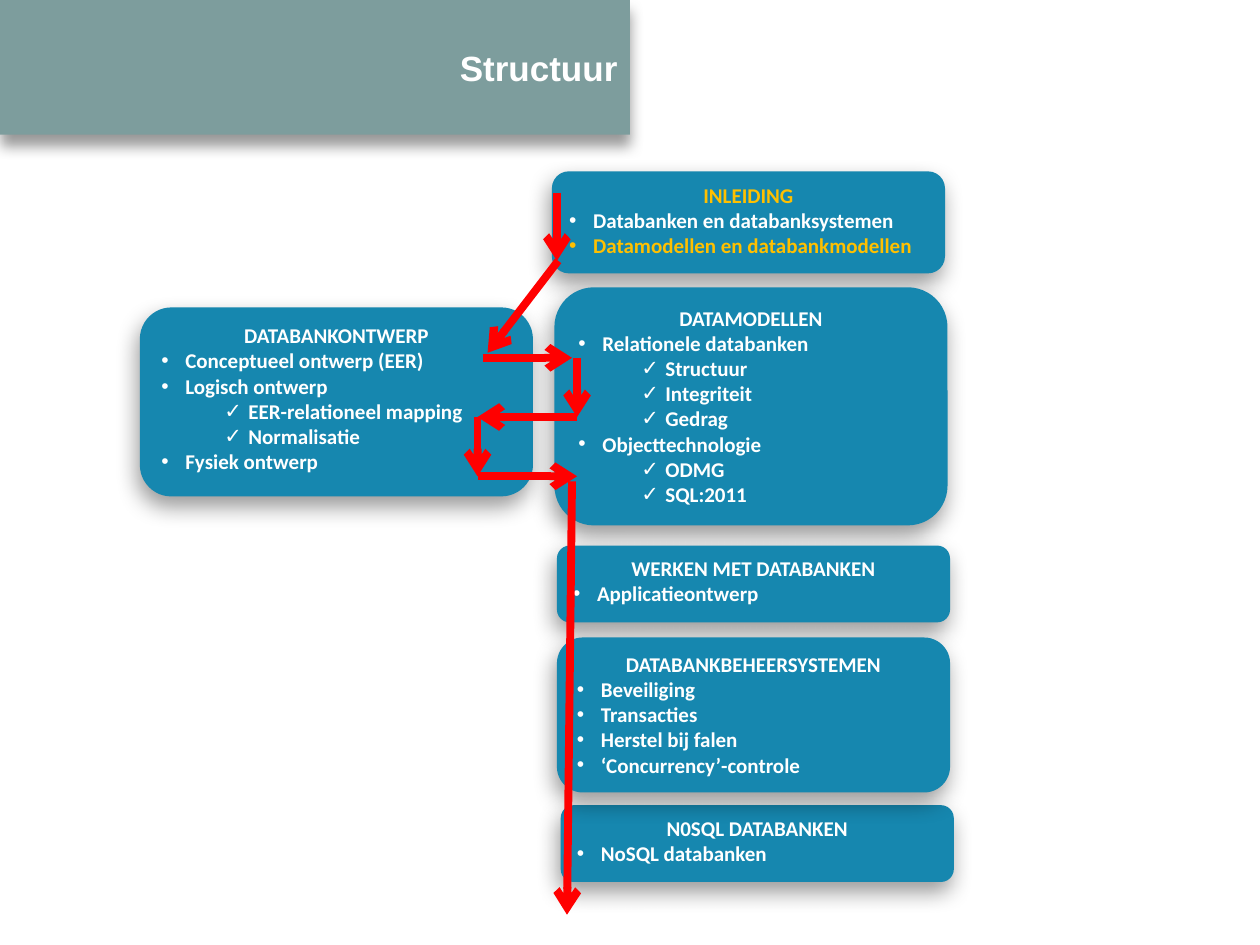
from dataclasses import dataclass

from lxml.etree import SubElement
from pptx import Presentation
from pptx.dml.color import RGBColor
from pptx.enum.shapes import MSO_CONNECTOR as Connector, MSO_SHAPE as Shape
from pptx.enum.text import MSO_ANCHOR as Anchor, PP_ALIGN as Align
from pptx.oxml.ns import qn
from pptx.util import Inches, Pt


@dataclass(frozen=True)
class Theme:
    banner: str = "7D9D9D"
    card: str = "1687AF"
    text: str = "FFFFFF"
    accent: str = "FFC000"
    route: str = "FF0000"
    shadow: str = "000000"
    title_font: str = "Arial"
    body_font: str = "Calibri"
    title_size: int = 20
    body_size: int = 12
    route_width: float = 4.5


THEME = Theme()
BULLETS = ("•", "✓")
HANGING = 0.19
LEVEL_STEP = 0.5
CARD_WIDTH = 3.12

CARDS = [
    ((4.45, 6.39, 0.61), "N0SQL DATABANKEN", [(0, "NoSQL databanken")]),
    ((4.38, 1.36, 0.81), "INLEIDING", [
        (0, "Databanken en databanksystemen"),
        (0, "Datamodellen en databankmodellen"),
    ]),
    ((1.11, 2.44, 1.5), "DATABANKONTWERP", [
        (0, "Conceptueel ontwerp (EER)"),
        (0, "Logisch ontwerp"),
        (1, "EER-relationeel mapping"),
        (1, "Normalisatie"),
        (0, "Fysiek ontwerp"),
    ]),
    ((4.4, 2.28, 1.89), "DATAMODELLEN", [
        (0, "Relationele databanken"),
        (1, "Structuur"),
        (1, "Integriteit"),
        (1, "Gedrag"),
        (0, "Objecttechnologie"),
        (1, "ODMG"),
        (1, "SQL:2011"),
    ]),
    ((4.42, 4.33, 0.61), "WERKEN MET DATABANKEN", [(0, "Applicatieontwerp")]),
    ((4.42, 5.06, 1.23), "DATABANKBEHEERSYSTEMEN", [
        (0, "Beveiliging"),
        (0, "Transacties"),
        (0, "Herstel bij falen"),
        (0, "‘Concurrency’-controle"),
    ]),
]
HIGHLIGHTED = {"INLEIDING", "Datamodellen en databankmodellen"}

LEFT_TURN, RIGHT_TURN = 3.79, 4.58
ROWS = (2.84, 3.31, 3.78)
ROUTE = [
    ((4.42, 1.53), (4.42, 2.07)),
    ((4.43, 2.07), (3.87, 2.8)),
    ((3.83, ROWS[0]), (4.54, ROWS[0])),
    ((RIGHT_TURN, ROWS[0]), (RIGHT_TURN, ROWS[1])),
    ((RIGHT_TURN, ROWS[1]), (LEFT_TURN, ROWS[1])),
    ((LEFT_TURN, ROWS[1]), (LEFT_TURN, ROWS[2])),
    ((LEFT_TURN, ROWS[2]), (RIGHT_TURN, ROWS[2])),
    ((4.54, 3.82), (4.5, 7.26)),
]


def add_shadow(shape, blur, distance, angle):
    shape.shadow.inherit = False
    effects = shape._element.spPr.find(qn("a:effectLst"))
    shadow = SubElement(effects, qn("a:outerShdw"), {
        "blurRad": str(Pt(blur)),
        "dist": str(Pt(distance)),
        "dir": str(angle * 60000),
        "algn": "ctr",
        "rotWithShape": "0",
    })
    color = SubElement(shadow, qn("a:srgbClr"), val=THEME.shadow)
    SubElement(color, qn("a:alpha"), val="40000")


def add_panel(page, kind, box, fill, shadow):
    panel = page.shapes.add_shape(kind, *map(Inches, box))
    panel.fill.solid()
    panel.fill.fore_color.rgb = RGBColor.from_string(fill)
    panel.line.fill.background()
    add_shadow(panel, *shadow)
    panel.text_frame.word_wrap = True
    return panel


def write(para, text, font, size, color):
    span = para.add_run()
    span.text = text
    formats = {"name": font, "size": Pt(size), "bold": True}
    for name, value in formats.items():
        setattr(span.font, name, value)
    span.font.color.rgb = RGBColor.from_string(color)


def write_body(para, text):
    color = THEME.accent if text in HIGHLIGHTED else THEME.text
    write(para, text, THEME.body_font, THEME.body_size, color)


def add_bullet(para, level):
    para.level = level
    para.alignment = Align.LEFT
    props = para._p.get_or_add_pPr()
    props.set("marL", str(Inches(HANGING + level * LEVEL_STEP)))
    props.set("indent", str(Inches(-HANGING)))
    SubElement(props, qn("a:buFont"), typeface=THEME.title_font)
    SubElement(props, qn("a:buChar"), char=BULLETS[level])


def add_banner(page, box, title):
    banner = add_panel(page, Shape.RECTANGLE, box, THEME.banner, (8, 6, 90))
    banner.text_frame.vertical_anchor = Anchor.MIDDLE
    para = banner.text_frame.paragraphs[0]
    para.alignment = Align.RIGHT
    write(para, title, THEME.title_font, THEME.title_size, THEME.text)


def add_card(page, box, heading, items):
    card = add_panel(page, Shape.ROUNDED_RECTANGLE, box, THEME.card, (13, 6, 106))
    frame = card.text_frame
    frame.vertical_anchor = Anchor.TOP
    frame.paragraphs[0].alignment = Align.CENTER
    write_body(frame.paragraphs[0], heading)
    for level, text in items:
        para = frame.add_paragraph()
        add_bullet(para, level)
        write_body(para, text)


def add_arrow(page, start, end):
    arrow = page.shapes.add_connector(Connector.STRAIGHT, *map(Inches, start + end))
    arrow.line.color.rgb = RGBColor.from_string(THEME.route)
    arrow.line.width = Pt(THEME.route_width)
    SubElement(arrow.line._get_or_add_ln(), qn("a:tailEnd"), type="arrow")
    SubElement(arrow._element.spPr, qn("a:effectLst"))


def main():
    deck = Presentation()
    deck.slide_width, deck.slide_height = Inches(10), Inches(7.5)
    page = deck.slides.add_slide(deck.slide_layouts[6])
    add_banner(page, (0, 0, 5, 1.07), "Structuur")
    for (left, top, height), heading, items in CARDS:
        add_card(page, (left, top, CARD_WIDTH, height), heading, items)
    for start, end in ROUTE:
        add_arrow(page, start, end)
    deck.save("out.pptx")


if __name__ == "__main__":
    main()
